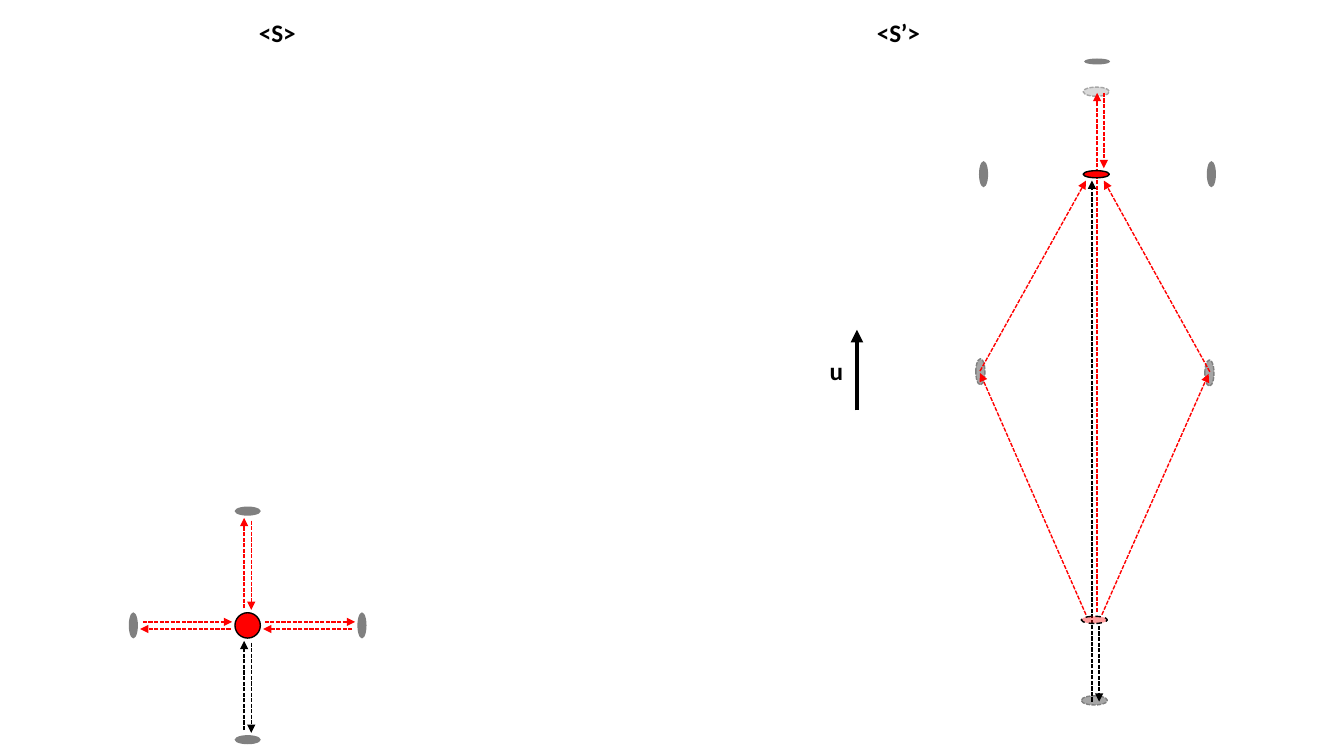
from pptx import Presentation
from pptx.util import Cm, Pt
from pptx.dml.color import RGBColor
from pptx.enum import dml, shapes, text
from pptx.oxml.ns import qn
from lxml import etree

HUES = {"red": "FF0000", "black": "000000", "gray": "808080",
        "mid": "A6A6A6", "pale": "D9D9D9"}
DASH = dml.MSO_LINE.SQUARE_DOT

deck = Presentation()
deck.slide_width, deck.slide_height = Cm(33.86), Cm(19.05)
slide = deck.slides.add_slide(deck.slide_layouts[6])
items = slide.shapes


def label(words, left, top, width, size=18, bold=True, hue="black"):
    box = items.add_textbox(Cm(left), Cm(top), Cm(width), Cm(1.02))
    frame = box.text_frame
    frame.word_wrap = True
    frame.auto_size = text.MSO_AUTO_SIZE.SHAPE_TO_FIT_TEXT
    run = frame.paragraphs[0].add_run()
    run.text = words
    run.font.name, run.font.size, run.font.bold = "Calibri", Pt(size), bold
    run.font.color.rgb = RGBColor.from_string(HUES[hue])


mid_x, mid_y, arm = 6.24, 15.76, 2.88
ways = [(0, -1, "red"), (1, 0, "red"), (0, 1, "black"), (-1, 0, "red")]

ovals = [(mid_x + arm * dx, mid_y + arm * dy, 0.23, 0.66, 90 * abs(dy), "gray", None, None)
         for dx, dy, hue in ways]
ovals += [
    (mid_x, mid_y, 0.64, 0.64, 0, "red", "black", None),
    (27.62, 2.31, 0.23, 0.66, 270, "pale", "mid", DASH),
    (27.57, 17.65, 0.23, 0.66, 90, "mid", "gray", DASH),
    (27.64, 1.55, 0.15, 0.66, 90, "gray", None, None),
    (30.52, 4.39, 0.23, 0.66, 0, "gray", None, None),
    (24.78, 4.39, 0.23, 0.66, 0, "gray", None, None),
    (30.47, 9.4, 0.23, 0.66, 0, "mid", "gray", DASH),
    (24.7, 9.37, 0.23, 0.66, 0, "mid", "gray", DASH),
]
lamps = [
    (27.62, 4.39, 0.18, 0.66, 270, "red", "black", None),
    (27.57, 15.62, 0.18, 0.66, 270, "red", "black", dml.MSO_LINE.DASH),
]

rays = []
for dx, dy, hue in ways:
    for start, end, side in [(0.43, 2.71, 0.09), (2.64, 0.39, -0.09)]:
        x, y = mid_x + side * dy, mid_y - side * dx
        rays.append((x + start * dx, y + start * dy, x + end * dx, y + end * dy, hue, 1))
rays += [
    (27.81, 2.34, 27.81, 4.24, "red", 1),
    (27.64, 15.42, 27.64, 2.34, "red", 1),
    (27.51, 17.68, 27.51, 4.55, "black", 1),
    (27.69, 15.77, 27.69, 17.68, "black", 1),
    (30.48, 9.37, 27.81, 4.55, "red", 1),
    (27.76, 15.49, 30.45, 9.42, "red", 1),
    (27.36, 15.49, 24.69, 9.4, "red", 1),
    (24.69, 9.35, 27.36, 4.55, "red", 1),
    (21.59, 10.34, 21.59, 8.31, "black", 3),
]


def draw(group):
    for x, y, wide, high, turn, fill, edge, dash in group:
        oval = items.add_shape(shapes.MSO_SHAPE.OVAL, Cm(x - wide / 2),
                               Cm(y - high / 2), Cm(wide), Cm(high))
        oval.rotation = turn
        oval.shadow.inherit = False
        oval.fill.solid()
        oval.fill.fore_color.rgb = RGBColor.from_string(HUES[fill])
        if dash == dml.MSO_LINE.DASH:
            tint = oval.fill._xPr.find(qn("a:solidFill"))[0]
            etree.SubElement(tint, qn("a:alpha"), val="39000")
        if edge:
            oval.line.color.rgb = RGBColor.from_string(HUES[edge])
            oval.line.width = Pt(1)
            if dash:
                oval.line.dash_style = dash
        else:
            oval.line.fill.background()


draw(ovals)
for x1, y1, x2, y2, hue, width in rays:
    ray = items.add_connector(shapes.MSO_CONNECTOR.STRAIGHT, Cm(x1), Cm(y1), Cm(x2), Cm(y2))
    ray.line.color.rgb = RGBColor.from_string(HUES[hue])
    ray.line.width = Pt(width)
    if width == 1:
        ray.line.dash_style = DASH
    props = ray.line._get_or_add_ln()
    etree.SubElement(props, qn("a:tailEnd"), type="triangle")
    etree.SubElement(props.getparent(), qn("a:effectLst"))
draw(lamps)

for words, left, top, width in [("u", 20.65, 8.84, 0.79), ("<S’>", 21.84, 0.3, 1.63),
                                ("<S>", 6.27, 0.3, 1.63)]:
    label(words, left, top, width)

deck.save("out.pptx")
